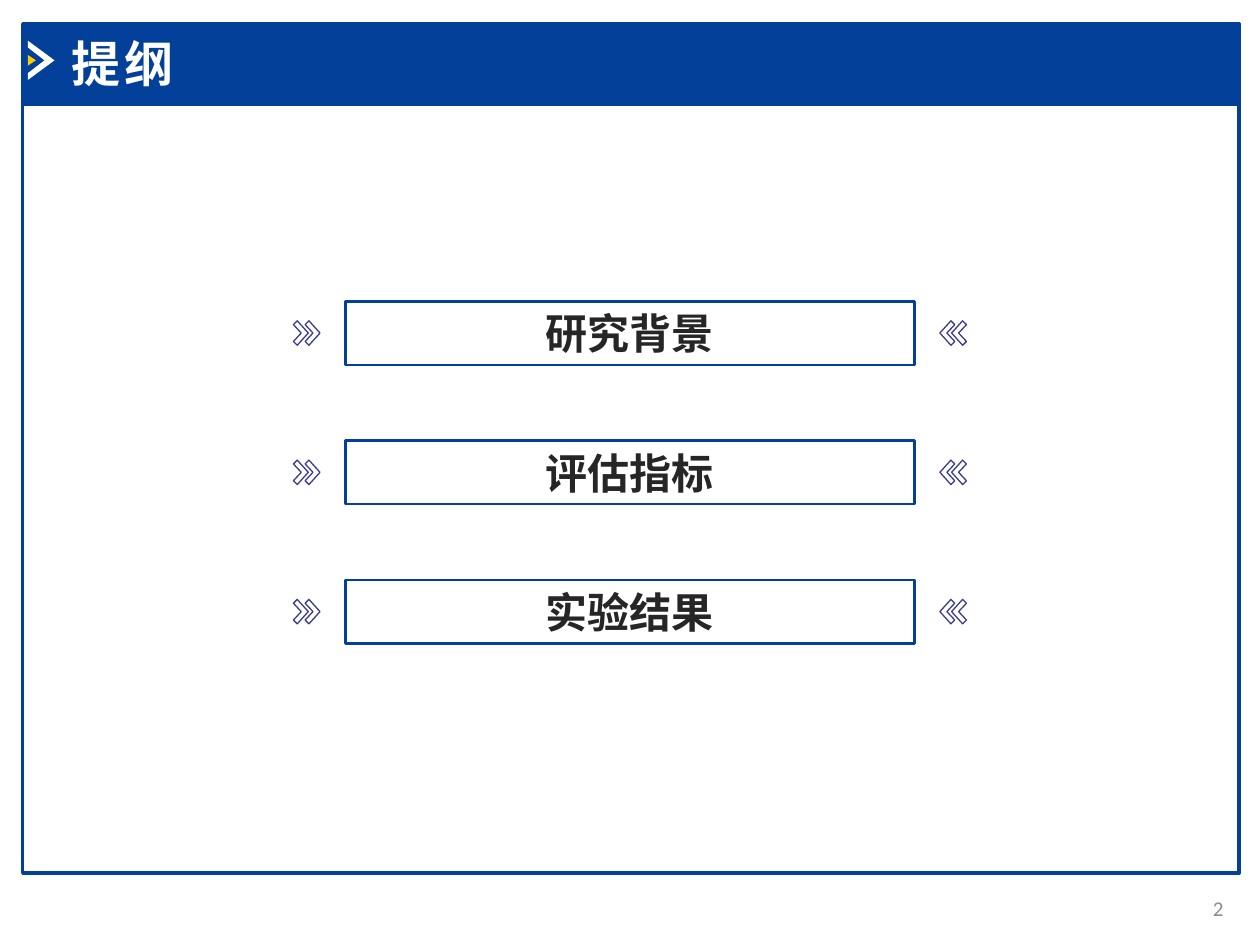
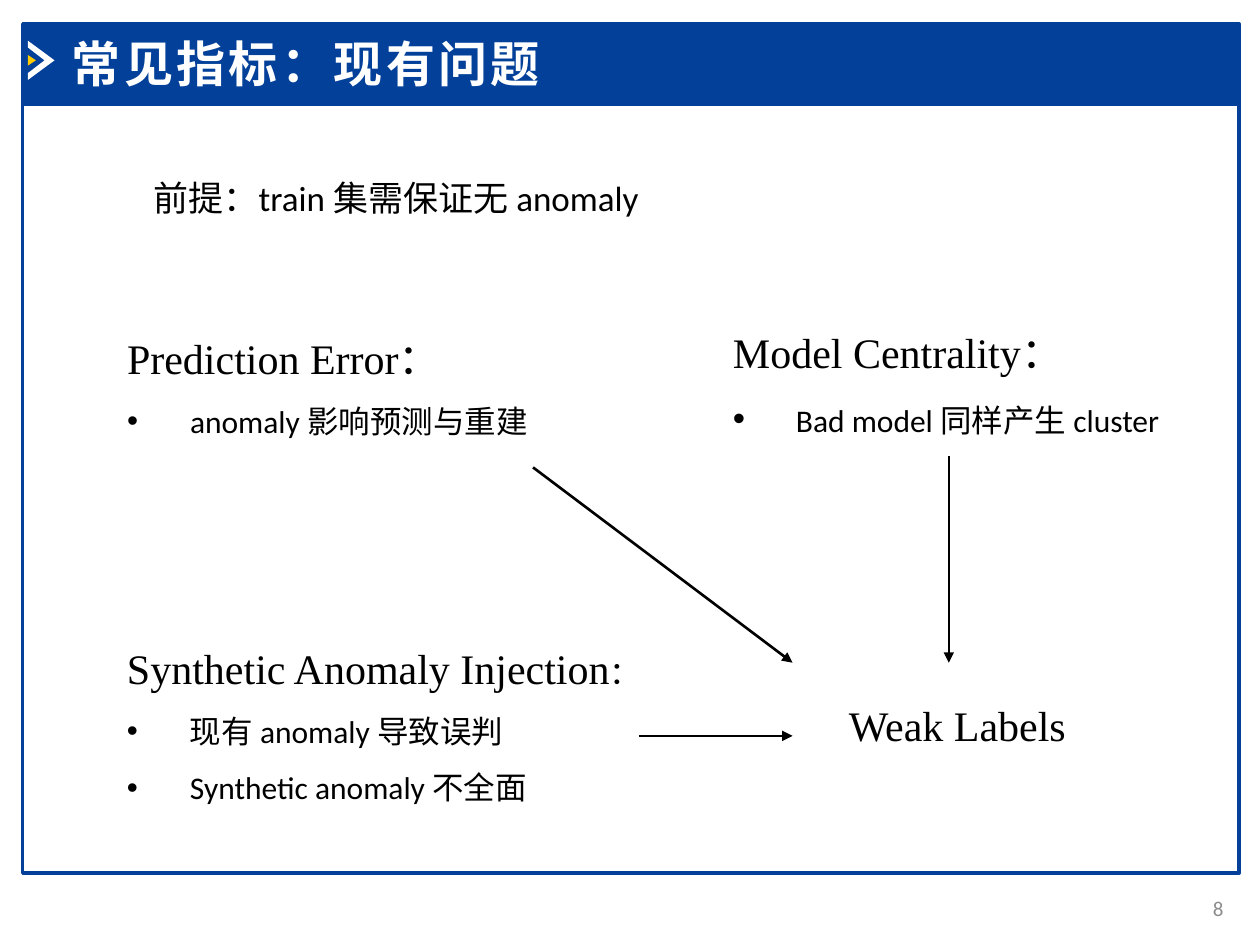
from lxml.etree import SubElement
from pptx import Presentation
from pptx.dml.color import RGBColor
from pptx.enum.shapes import MSO_CONNECTOR, MSO_SHAPE
from pptx.enum.text import MSO_ANCHOR, MSO_AUTO_SIZE, PP_ALIGN
from pptx.oxml.ns import qn
from pptx.util import Pt

BLUE = RGBColor(0x02, 0x40, 0x9A)
VIOLET = RGBColor(0x3C, 0x3C, 0x8E)
GOLD = RGBColor(0xFF, 0xCC, 0x00)
WHITE = RGBColor(0xFF, 0xFF, 0xFF)
BLACK = RGBColor(0, 0, 0)
DARK = RGBColor(0x26, 0x26, 0x26)
GREY = RGBColor(0x8C, 0x8C, 0x8C)

LATIN, SERIF, HAN = "Calibri", "Times New Roman", "Noto Sans CJK SC"
TITLE = dict(name=LATIN, size=Pt(28), bold=True, color=WHITE)
PAGE = dict(name=LATIN, size=Pt(12), color=GREY)
ROW = dict(name=HAN, size=Pt(24), bold=True, color=DARK)
HEAD = dict(name=SERIF, size=Pt(24), color=BLACK)
LEAD = dict(name=LATIN, size=Pt(20), color=BLACK)
ITEM = dict(name=LATIN, size=Pt(18), color=BLACK)

# Slide-wide boxes: left, top, width, height
FRAME = (13, 59.8, 695, 439.2)
BAND = (13, 13.7, 695, 46.1)
FOOT = (663.8, 504.7, 42.5, 28.8)


def add_run(para, text, style, gap=None):
    run = para.add_run()
    run.text = text
    for key, value in style.items():
        if key == "color":
            run.font.color.rgb = value
        else:
            setattr(run.font, key, value)
    props = run._r.get_or_add_rPr()
    SubElement(props, qn("a:ea"), typeface=HAN)
    if gap:
        props.set("spc", str(gap))


def set_frame(frame, **values):
    values = dict(word_wrap=True, auto_size=MSO_AUTO_SIZE.NONE,
                  vertical_anchor=MSO_ANCHOR.TOP) | values
    for key, value in values.items():
        setattr(frame, key, value)


def add_text(slide, box, text, style, align=PP_ALIGN.LEFT, **values):
    frame = slide.shapes.add_textbox(*map(Pt, box)).text_frame
    set_frame(frame, **values)
    para = frame.paragraphs[0]
    para.alignment = align
    add_run(para, text, style)
    return frame


def paint(shape, fill=None, line=None, width=1):
    shape.shadow.inherit = False
    if fill is None:
        shape.fill.background()
    else:
        shape.fill.solid()
        shape.fill.fore_color.rgb = fill
    if line is None:
        shape.line.fill.background()
    else:
        shape.line.color.rgb = line
        shape.line.width = Pt(width)


def add_rect(slide, box, **look):
    rect = slide.shapes.add_shape(MSO_SHAPE.RECTANGLE, *map(Pt, box))
    paint(rect, **look)
    return rect


def add_poly(slide, points, **look):
    first, *rest = [(Pt(x), Pt(y)) for x, y in points]
    pen = slide.shapes.build_freeform(*first)
    pen.add_line_segments(rest, close=True)
    paint(pen.convert_to_shape(), **look)


def add_base(deck, title, page, width):
    """Frame, title band and page number."""
    slide = deck.slides.add_slide(deck.slide_layouts[5])
    add_rect(slide, FRAME, line=BLUE, width=2)
    add_rect(slide, BAND, fill=BLUE, line=BLUE, width=2)

    # Arrow mark in the band
    left, top = BAND[0] + 3, BAND[1] + 9.6
    mark = [(0, 0), (0, 3.9), (9.5, 11.2), (0, 18.5), (0, 22.4), (15.2, 11.2)]
    core = [(0, 8.2), (0, 14.2), (4.5, 11.2)]
    for points, fill in ((mark, WHITE), (core, GOLD)):
        add_poly(slide, [(left + x, top + y) for x, y in points], fill=fill)

    # Title, raised above the band
    head = slide.shapes.title
    box = (BAND[0] + 20.8, BAND[1] + 2.1, width, 41)
    for key, value in zip(("left", "top", "width", "height"), box):
        setattr(head, key, Pt(value))
    set_frame(head.text_frame)
    para = head.text_frame.paragraphs[0]
    para.alignment = PP_ALIGN.LEFT
    add_run(para, title, TITLE, gap=200)
    head.element.getparent().append(head.element)

    add_text(slide, FOOT, str(page), PAGE, PP_ALIGN.RIGHT,
             vertical_anchor=MSO_ANCHOR.MIDDLE)
    return slide


def add_row(slide, box, text):
    """Outlined entry with a double chevron on either side."""
    left, top, width, height = box
    rect = add_rect(slide, box, line=BLUE, width=1.5)
    set_frame(rect.text_frame, vertical_anchor=MSO_ANCHOR.MIDDLE,
              margin_top=0, margin_bottom=0)
    para = rect.text_frame.paragraphs[0]
    para.alignment = PP_ALIGN.CENTER
    add_run(para, text, ROW)

    wing = [(2.2, -7), (0, -4.8), (4.5, 0), (0, 4.8), (2.2, 7), (8.5, 0)]
    mid = top + height / 2
    for start in (-29.6, -22.9):
        for edge, sign in ((left, 1), (left + width, -1)):
            points = [(edge + sign * (start + x), mid + y) for x, y in wing]
            add_poly(slide, points, line=VIOLET, width=0.75)


def add_list(slide, box, head, items, indent=22.5, colon=HEAD, lead=ITEM):
    """Heading with bulleted lines; lead styles the bullet and its tab."""
    frame = add_text(slide, box, head, HEAD)
    add_run(frame.paragraphs[0], "：", colon)
    frame.paragraphs[0].line_spacing = 1.5
    for item in items:
        para = frame.add_paragraph()
        props = para._p.get_or_add_pPr()
        props.set("marL", str(Pt(indent)))
        props.set("indent", str(-Pt(indent)))
        SubElement(props, qn("a:buFont"), typeface="Arial")
        SubElement(props, qn("a:buChar"), char="•")
        para.line_spacing = 1.5
        add_run(para, "\t", lead)
        add_run(para, item, ITEM)


def add_arrow(slide, *ends):
    line = slide.shapes.add_connector(MSO_CONNECTOR.STRAIGHT, *map(Pt, ends))
    line.line.color.rgb = BLACK
    line.line.width = Pt(1.5)
    SubElement(line.line._get_or_add_ln(), qn("a:tailEnd"), type="triangle")
    SubElement(line.element.spPr, qn("a:effectLst"))


def add_plan(deck):
    """Outline slide."""
    slide = add_base(deck, "提纲", 2, 256.3)
    for i, text in enumerate(("研究背景", "评估指标", "实验结果")):
        add_row(slide, (197.3, 172.2 + 79.6 * i, 325.4, 36.3), text)


def add_flaws(deck):
    """Slide on the problems of common metrics."""
    slide = add_base(deck, "常见指标：现有问题", 8, 326.2)
    add_list(slide, (411.8, 168.5, 261.4, 83.5), "Model Centrality",
             ["Bad model 同样产生 cluster"], indent=27,
             lead=LEAD | dict(bold=True))
    add_list(slide, (65.5, 172.1, 245.5, 79.9), "Prediction Error",
             ["anomaly 影响预测与重建"])
    add_list(slide, (65.5, 349.2, 314.6, 113), "Synthetic Anomaly Injection",
             ["现有 anomaly 导致误判", "Synthetic anomaly 不全面"], colon=ITEM)
    add_text(slide, (478, 396, 179.3, 36), "Weak Labels", HEAD)

    # Arrows towards the shared result
    add_arrow(slide, 304.6, 267.1, 452.9, 378.7)
    add_arrow(slide, 542.2, 260.6, 542.2, 378.7)
    add_arrow(slide, 365, 420.5, 452.9, 420.5)

    add_text(slide, (80.6, 97.2, 342.7, 31.7),
             "前提：train 集需保证无 anomaly", LEAD)


def main():
    deck = Presentation()
    deck.slide_width, deck.slide_height = Pt(720), Pt(540)
    add_plan(deck)
    add_flaws(deck)
    deck.save("out.pptx")


if __name__ == "__main__":
    main()
